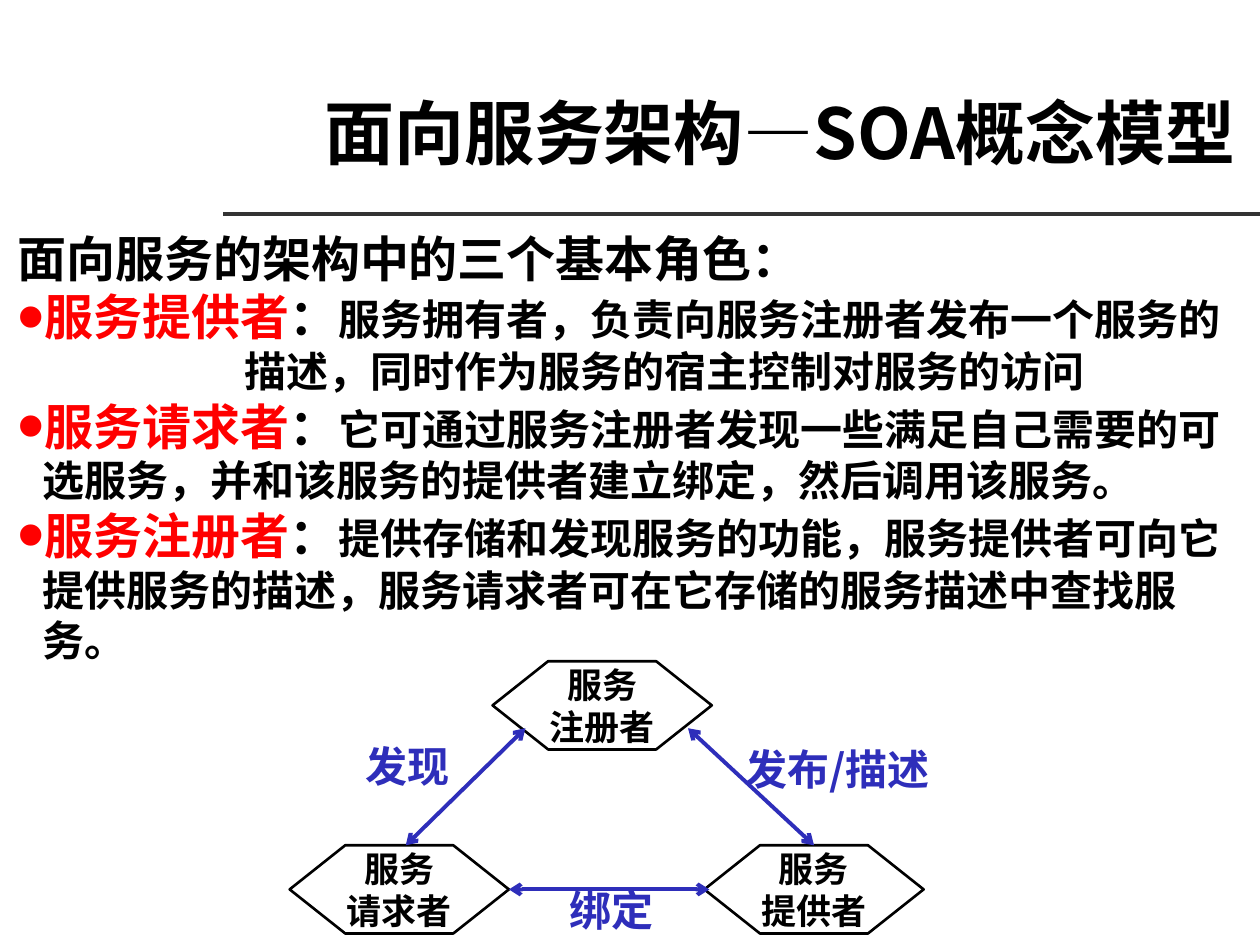
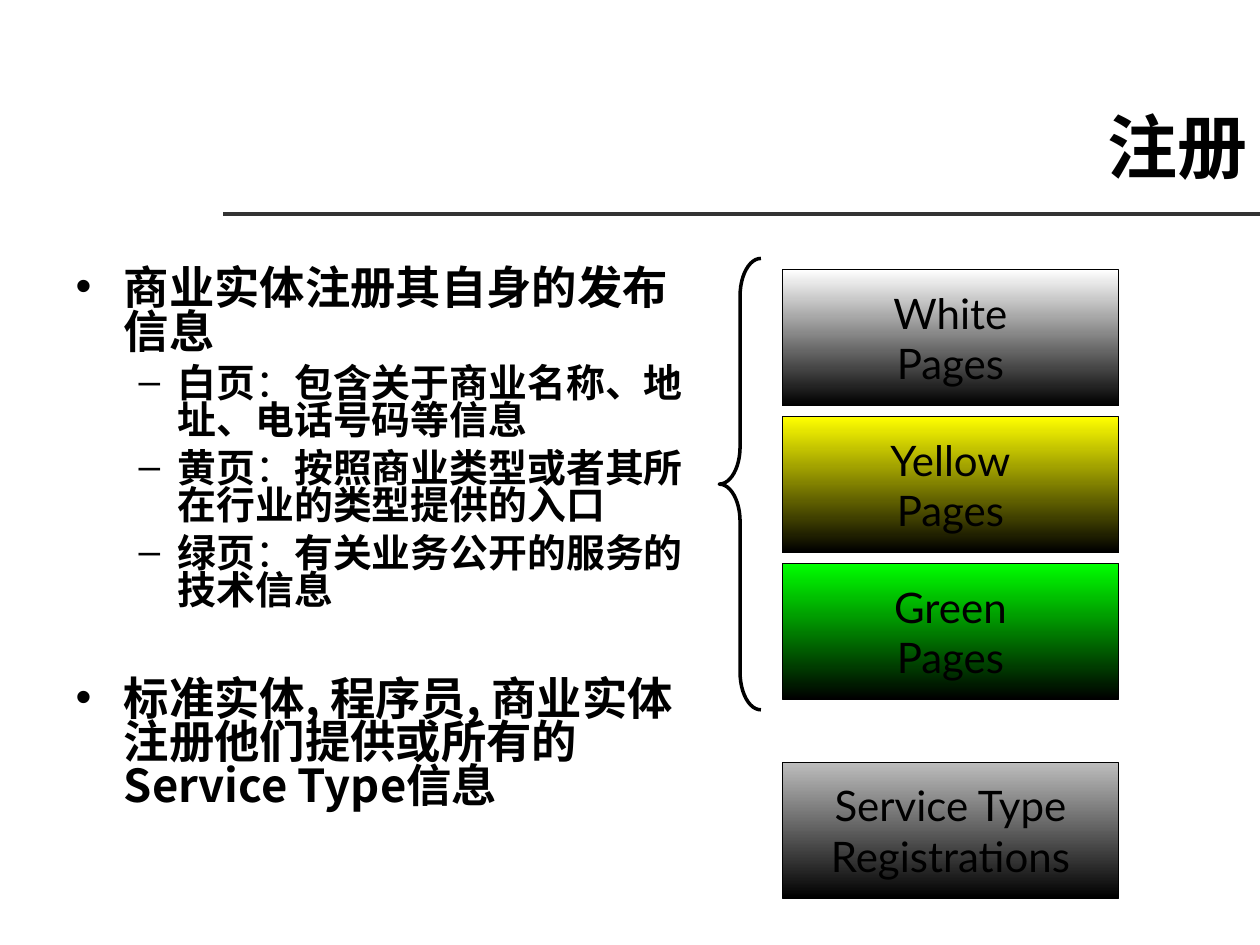
"""Build two slides on the service-oriented model and on registration."""
from lxml.etree import SubElement
from pptx import Presentation
from pptx.dml.color import RGBColor
from pptx.enum.shapes import MSO_CONNECTOR, MSO_SHAPE
from pptx.enum.text import MSO_ANCHOR, MSO_AUTO_SIZE, PP_ALIGN
from pptx.oxml.ns import qn
from pptx.util import Cm, Pt

BLACK, RED, BLUE, GRAY = "000000", "FF0000", "2E2EBA", "333333"
SANS, SERIF, ARIAL, LATO = "Noto Sans CJK SC", "Times New Roman", "Arial", "Lato"

ROLES = [
    ("服务提供者", "服务拥有者，负责向服务注册者发布一个服务的"),
    (None, "描述，同时作为服务的宿主控制对服务的访问"),
    ("服务请求者", "它可通过服务注册者发现一些满足自己需要的可选服务，并和该服务的提供者建立绑定，然后调用该服务。"),
    ("服务注册者", "提供存储和发现服务的功能，服务提供者可向它提供服务的描述，服务请求者可在它存储的服务描述中查找服务。"),
]
NODES = [("注册者", 9.93, 13.33), ("请求者", 5.84, 17.04), ("提供者", 14.2, 17.04)]
LINKS = [
    (10.26, 17.93, 14.3, 17.93),
    (13.87, 14.68, 16.41, 17.04),
    (8.18, 17.04, 10.59, 14.68),
]
LABELS = [
    ("发现", 7.11, 14.81, 2.4, SANS),
    ("发布/描述", 14.78, 14.86, 4.8, SANS),
    ("绑定", 11.23, 17.7, 2.4, SERIF),
]
PAGES = [
    ("白页", "包含关于商业名称、地址、电话号码等信息"),
    ("黄页", "按照商业类型或者其所在行业的类型提供的入口"),
    ("绿页", "有关业务公开的服务的技术信息"),
]
CARDS = [("White", "FFFFFF"), ("Yellow", "FFFF00"), ("Green", "00FF00")]


def paint(text):
    """Turn a hex string into a colour."""
    return RGBColor.from_string(text)


def box(left, top, width, height):
    """Give a frame in centimetres."""
    return Cm(left), Cm(top), Cm(width), Cm(height)


def place(shape, frame):
    """Move a shape to a frame."""
    shape.left, shape.top, shape.width, shape.height = frame


def style(para, size, name=SANS, color=BLACK, bold=True):
    """Set the font of a paragraph."""
    font = para.font
    font.size, font.name, font.bold = Pt(size), name, bold
    font.color.rgb = paint(color)


def add_run(para, text, size=None, name=None, color=None, bold=None):
    """Add a run with what differs from its paragraph."""
    run = para.add_run()
    run.text = text
    if size:
        run.font.size = Pt(size)
    if name:
        run.font.name = name
    if color:
        run.font.color.rgb = paint(color)
    if bold is not None:
        run.font.bold = bold


def add_para(frame):
    """Give the empty first paragraph or a new one."""
    first = frame.paragraphs[0]
    return frame.add_paragraph() if first.runs else first


def indent(para, left, first, mark=None, color=BLACK, scale=100):
    """Set indents and the bullet, and keep punctuation inside the box."""
    props = para._p.get_or_add_pPr()
    props.set("marL", str(Cm(left)))
    props.set("indent", str(Cm(first)))
    props.set("hangingPunct", "0")
    if not mark:
        SubElement(props, qn("a:buNone"))
        return
    tint = SubElement(props, qn("a:buClr"))
    SubElement(tint, qn("a:srgbClr"), val=color)
    SubElement(props, qn("a:buSzPct"), val=str(scale * 1000))
    SubElement(props, qn("a:buFont"), typeface=ARIAL)
    SubElement(props, qn("a:buChar"), char=mark)


def add_rule(deck, slide):
    """Draw the rule under the title on the master."""
    rule = add_line(slide, (4.5, 4.32, 25.4, 4.32), GRAY)
    deck.slide_master.shapes.element.append(rule.element)


def add_line(slide, ends, color, heads=()):
    """Draw a straight line with optional arrowheads."""
    line = slide.shapes.add_connector(MSO_CONNECTOR.STRAIGHT, *map(Cm, ends))
    line.line.width = Pt(2.25)
    line.line.color.rgb = paint(color)
    props = line.element.spPr
    for head in heads:
        SubElement(props.find(qn("a:ln")), qn(head), type="arrow")
    SubElement(props, qn("a:effectLst"))
    return line


def add_title(slide, frame, parts):
    """Fill the title with (text, font) parts."""
    title = slide.shapes.title
    place(title, frame)
    title.text_frame.auto_size = MSO_AUTO_SIZE.NONE
    title.text_frame.vertical_anchor = MSO_ANCHOR.MIDDLE
    para = title.text_frame.paragraphs[0]
    para.alignment = PP_ALIGN.RIGHT
    style(para, 40)
    for text, name in parts:
        add_run(para, text, name=name)


def get_body(slide, frame):
    """Place the body and give its text frame."""
    body = slide.placeholders[1]
    place(body, frame)
    body.text_frame.auto_size = MSO_AUTO_SIZE.NONE
    return body.text_frame


def add_shape(slide, kind, frame, width):
    """Draw a plain outlined shape."""
    shape = slide.shapes.add_shape(kind, *frame)
    shape.shadow.inherit = False
    shape.fill.background()
    shape.line.color.rgb = paint(BLACK)
    shape.line.width = Pt(width)
    return shape


def write(shape, lines, size, name, bold):
    """Write centred lines in a shape."""
    frame = shape.text_frame
    frame.word_wrap = False
    frame.vertical_anchor = MSO_ANCHOR.MIDDLE
    for text in lines:
        para = add_para(frame)
        para.alignment = PP_ALIGN.CENTER
        style(para, size, name, bold=bold)
        para.text = text


def add_node(slide, role, left, top):
    """Draw one role as a hexagon."""
    node = add_shape(slide, MSO_SHAPE.HEXAGON, box(left, top, 4.42, 1.78), 1.5)
    node.adjustments[0] = 0.63
    write(node, ["服务", role], 20, SANS, True)


def add_label(slide, text, left, top, width, name):
    """Write the label of a link on one line."""
    frame = slide.shapes.add_textbox(*box(left, top, width, 1.27)).text_frame
    frame.word_wrap = False
    frame.auto_size = MSO_AUTO_SIZE.SHAPE_TO_FIT_TEXT
    para = frame.paragraphs[0]
    style(para, 24, name, BLUE)
    add_run(para, text)


def add_card(slide, top, lines, color):
    """Draw a box that fades to black."""
    card = add_shape(slide, MSO_SHAPE.RECTANGLE, box(15.77, top, 6.78, 2.74), 0.75)
    card.fill.gradient()
    card.fill.gradient_angle = 270
    for stop, place_at, tint in zip(card.fill.gradient_stops, (0, 1), (color, BLACK)):
        stop.position = place_at
        stop.color.rgb = paint(tint)
    write(card, lines, 24, LATO, False)


def add_roles(slide):
    """List the three roles."""
    frame = get_body(slide, box(0.1, 4.47, 25.4, 9.07))
    para = add_para(frame)
    indent(para, 0.51, -0.51)
    style(para, 28)
    add_run(para, "面向服务的架构中的三个基本角色：")
    for role, text in ROLES:
        para = add_para(frame)
        para.space_before = Pt(0)
        if role:
            indent(para, 0.51, -0.51, "•", RED, 160)
            style(para, 28)
            add_run(para, role, color=RED)
            add_run(para, "：")
            add_run(para, text, size=24)
        else:
            indent(para, 4.57, 0)
            style(para, 24)
            add_run(para, text)


def add_point(frame, text, before):
    """Add a top-level point."""
    para = add_para(frame)
    para.line_spacing, para.space_before = 0.8, Pt(before)
    indent(para, 0.97, -0.97, "•")
    style(para, 25.9)
    add_run(para, text)


def add_page(frame, page, text):
    """Add a second-level point on one kind of page."""
    para = add_para(frame)
    para.level = 1
    para.line_spacing, para.space_before = 0.8, Pt(6)
    indent(para, 2.06, -0.79, "–")
    style(para, 22.2, ARIAL)
    add_run(para, page)
    add_run(para, "：", bold=False)
    add_run(para, text)


def add_brace(slide):
    """Draw the brace left of the pages."""
    brace = add_shape(slide, MSO_SHAPE.LEFT_BRACE, box(14.5, 5.21, 0.84, 9.1), 2)
    brace.adjustments[0] = 0.9


def set_asian(slide):
    """Use the sans font for all East Asian text."""
    for latin in list(slide.element.iter(qn("a:latin"))):
        asian = SubElement(latin.getparent(), qn("a:ea"), typeface=SANS)
        latin.addnext(asian)


def show_model(slide):
    """Fill the slide on the concept model."""
    add_title(slide, box(4.5, 0.97, 20.65, 3.35),
              [("面向服务架构", None), ("—", SERIF), ("SOA概念模型", None)])
    add_roles(slide)
    for node in NODES:
        add_node(slide, *node)
    for ends in LINKS:
        add_line(slide, ends, BLUE, ("a:headEnd", "a:tailEnd"))
    for label in LABELS:
        add_label(slide, *label)


def show_pages(slide):
    """Fill the slide on registration."""
    add_title(slide, box(0.1, 1.73, 25.3, 2.41), [("注册", None)])
    frame = get_body(slide, box(1.27, 5.31, 13.03, 11.81))
    add_point(frame, "商业实体注册其自身的发布信息", 0)
    for page, text in PAGES:
        add_page(frame, page, text)
    add_point(frame, "标准实体, 程序员, 商业实体注册他们提供或所有的Service Type信息", 39)
    for row, (name, color) in enumerate(CARDS):
        add_card(slide, 5.44 + 2.96 * row, [name + "\vPages"], color)
    add_brace(slide)
    add_card(slide, 15.37, ["Service Type", "Registrations"], "BDBDBD")


def main():
    """Build and save the deck."""
    deck = Presentation()
    deck.slide_width, deck.slide_height = Cm(25.4), Cm(19.05)
    model, pages = (deck.slides.add_slide(deck.slide_layouts[1]) for _ in range(2))
    add_rule(deck, model)
    show_model(model)
    show_pages(pages)
    for slide in (model, pages):
        set_asian(slide)
    deck.save("out.pptx")


if __name__ == "__main__":
    main()
